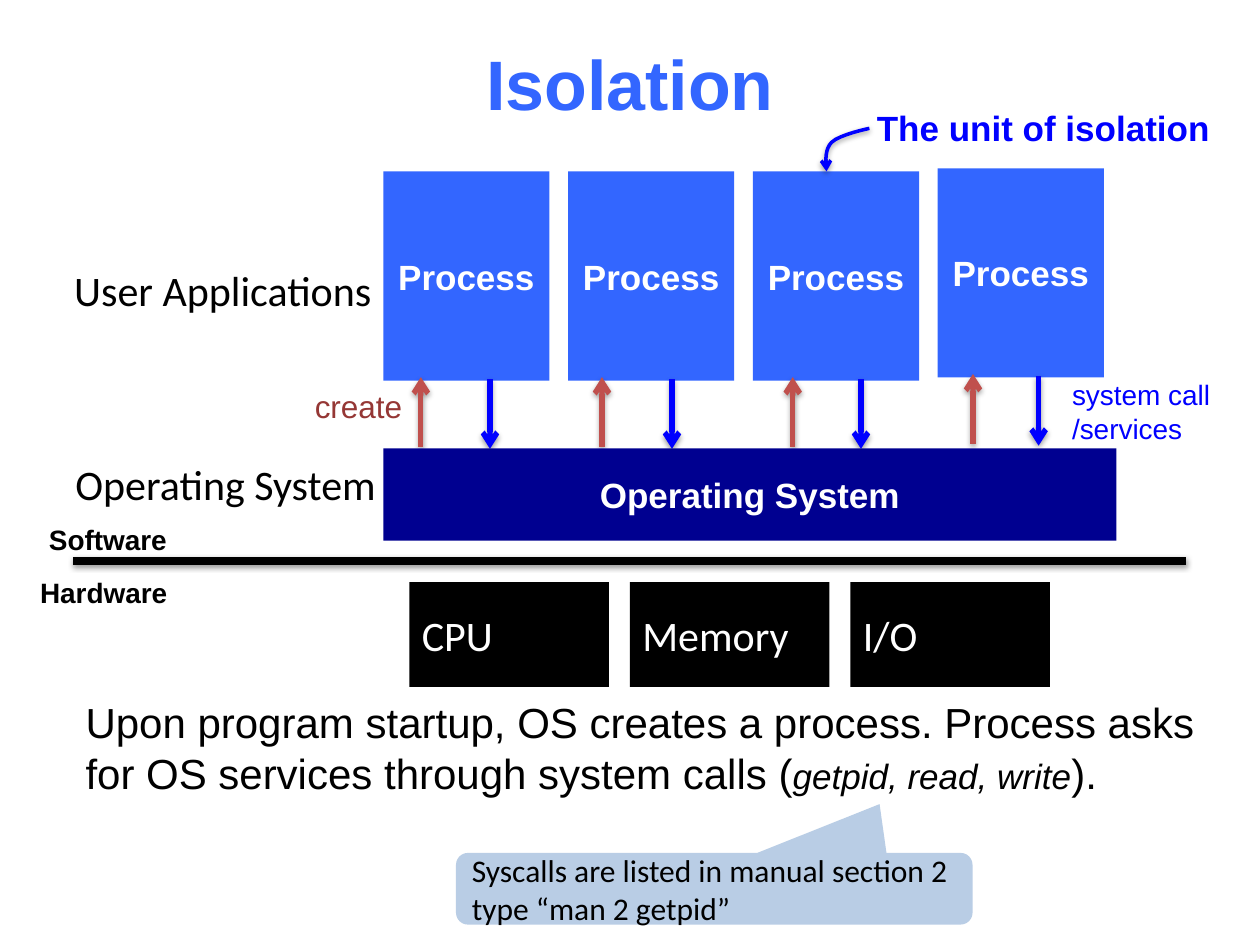
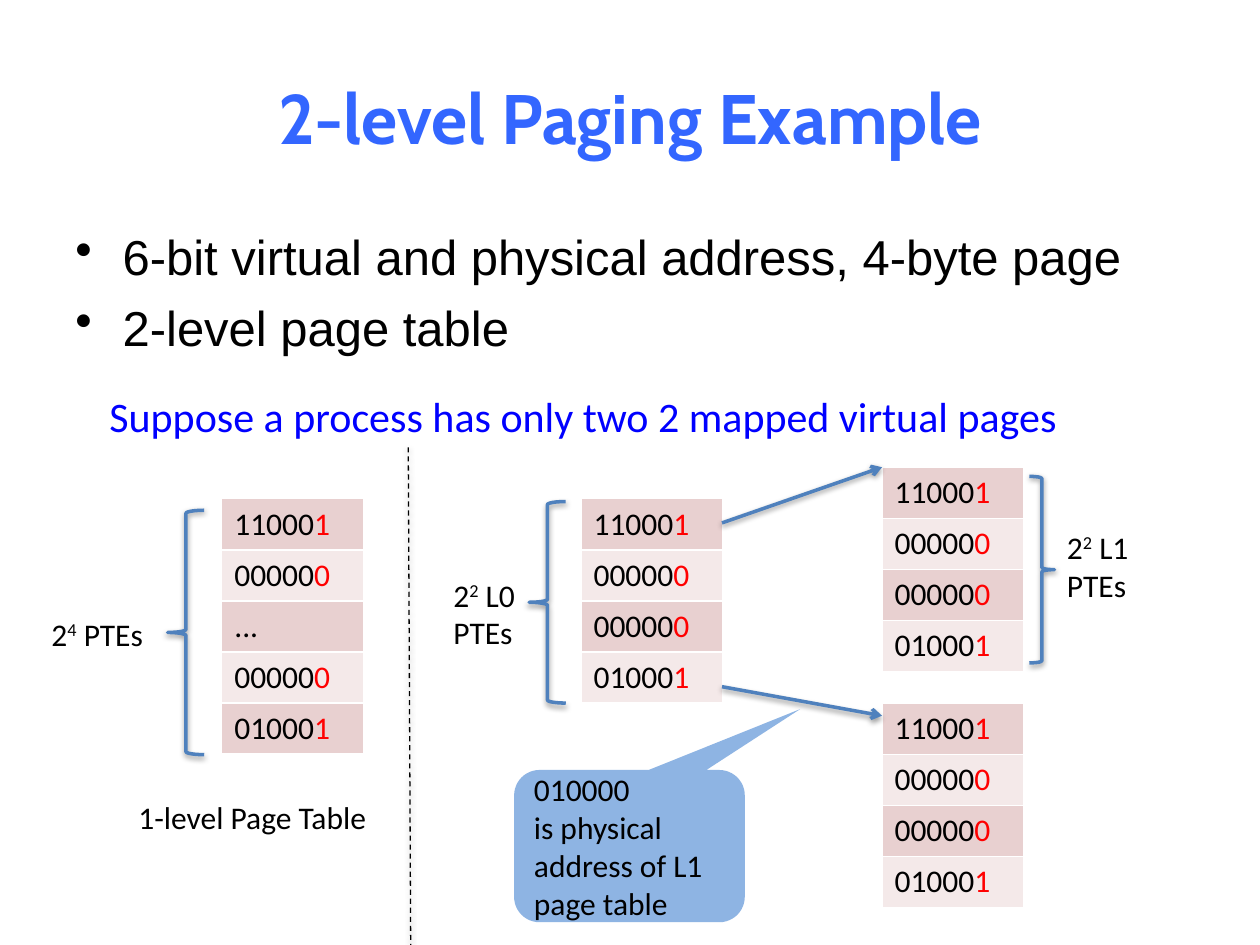
"""Build two lecture slides: process isolation and two-level paging."""
from lxml import etree
from pptx import Presentation
from pptx.dml.color import RGBColor
from pptx.enum import dml, shapes, text
from pptx.oxml import parse_xml
from pptx.oxml.ns import nsdecls, qn
from pptx.util import Pt

rgb = RGBColor.from_string
SHAPE = shapes.MSO_SHAPE
STRAIGHT = shapes.MSO_CONNECTOR.STRAIGHT
LEFT, CENTER = text.PP_ALIGN.LEFT, text.PP_ALIGN.CENTER
TOP, MIDDLE = text.MSO_ANCHOR.TOP, text.MSO_ANCHOR.MIDDLE
BLACK, WHITE, RED = "000000", "FFFFFF", "FF0000"
ROYAL, BLUE, NAVY, STEEL = "3366FF", "0000FF", "000090", "4F81BD"
BRICK, MAROON = "C0504D", "953735"
SHADOW = (
    f'<a:effectLst {nsdecls("a")}><a:outerShdw blurRad="40000" dist="20000" '
    'dir="5400000" rotWithShape="0"><a:srgbClr val="000000">'
    '<a:alpha val="38000"/></a:srgbClr></a:outerShdw></a:effectLst>'
)


def write(sp, lines, size=18, font="Calibri", color=BLACK, bold=False, align=LEFT,
          anchor=TOP, wrap=True, fill=None, bullet=None, gap=0):
    """Fill a shape or cell with lines, each a string or a list of (text, changes) runs."""
    if fill:
        sp.fill.solid()
        sp.fill.fore_color.rgb = rgb(fill)
        sp.line.fill.background()
        sp.shadow.inherit = False
    tf = sp.text_frame
    tf.word_wrap = wrap
    tf.vertical_anchor = anchor
    for i, line in enumerate(lines):
        p = tf.add_paragraph() if i else tf.paragraphs[0]
        p.alignment = align
        if bullet:
            pPr = p._p.get_or_add_pPr()
            pPr.set("marL", str(Pt(27)))
            pPr.set("indent", str(-Pt(27)))
            etree.SubElement(pPr, qn("a:buChar")).set("char", bullet)
        if i and gap:
            p.space_before = Pt(gap)
        for words, change in [(line, {})] if isinstance(line, str) else line:
            r = p.add_run()
            r.text = words
            r.font.name = font
            r.font.size = Pt(change.get("size", size))
            r.font.bold = bold
            r.font.italic = change.get("italic", False)
            r.font.color.rgb = rgb(change.get("color", color))
            if "raised" in change:
                r._r.get_or_add_rPr().set("baseline", "30000")


def stroke(sp, color, width, arrow=False, dash=None):
    """Give an outline its colour, width, end arrow, dash and soft shadow."""
    sp.line.color.rgb = rgb(color)
    sp.line.width = Pt(width)
    if dash:
        sp.line.dash_style = dash
    if arrow:
        etree.SubElement(sp.line._get_or_add_ln(), qn("a:tailEnd")).set("type", "arrow")
    sp._element.spPr.append(parse_xml(SHADOW))


prs = Presentation()
prs.slide_width, prs.slide_height = Pt(720), Pt(540)
slides = []
for title, font, top in [("Isolation", "Arial", 2), ("2-level Paging Example", "Cabin", 21.6)]:
    s = prs.slides.add_slide(prs.slide_layouts[5])
    sp = s.shapes.title
    sp.left, sp.top, sp.width, sp.height = Pt(36), Pt(top), Pt(648), Pt(90)
    write(sp, [title], 40, font, ROYAL, True, CENTER, MIDDLE)
    slides.append(s)
isolation, paging = slides

s = isolation
for i, (create_x, call_x) in enumerate([(240.5, 280), (344, 384), (453, 492), (556, 593.5)]):
    lift = 1.8 if i == 3 else 0
    box = 219 + 105.6 * i, 98 - lift, 95, 119.5
    sp = s.shapes.add_shape(SHAPE.RECTANGLE, *map(Pt, box))
    write(sp, ["Process"], 20, "Arial", WHITE, True, CENTER, MIDDLE, fill=ROYAL)
    for x, start, end, color in [(create_x, 255.5, 215.5, BRICK), (call_x, 216.7, 256.5, BLUE)]:
        sp = s.shapes.add_connector(STRAIGHT, Pt(x), Pt(start - lift), Pt(x), Pt(end - lift))
        stroke(sp, color, 3, arrow=True)

sp = s.shapes.add_shape(SHAPE.RECTANGLE, Pt(219), Pt(256.3), Pt(419), Pt(52.6))
write(sp, ["Operating System"], 20, "Arial", WHITE, True, CENTER, MIDDLE, fill=NAVY)
for i, part in enumerate(["CPU", "Memory", "I/O"]):
    sp = s.shapes.add_shape(SHAPE.RECTANGLE, Pt(234 + 126 * i), Pt(332.6), Pt(114), Pt(60))
    write(sp, [part], 24, color=WHITE, anchor=MIDDLE, fill=BLACK)
sp = s.shapes.add_connector(STRAIGHT, Pt(41.8), Pt(320.4), Pt(677.5), Pt(320.4))
stroke(sp, BLACK, 4.5)

summary = [
    ("Upon program startup, OS creates a process. Process asks for OS services "
     "through system calls (", {}),
    ("getpid, read, write", {"size": 20, "italic": True}),
    (").", {}),
]
label = {"size": 16, "font": "Arial", "wrap": False}
for box, lines, style in [
    ((35.3, 147.6, 198, 36), ["User Applications"], {"size": 24}),
    ((36, 258.5, 198, 36), ["Operating System"], {"size": 24}),
    ((20.9, 295.2, 82.8, 26.6), ["Software"], {**label, "bold": True}),
    ((15.8, 325.4, 87.8, 26.6), ["Hardware"], {**label, "bold": True}),
    ((605.5, 212.4, 94.3, 46), ["system call", "/services"], {**label, "color": BLUE}),
    ((172.8, 217.4, 67.7, 29), ["create"], {"font": "Arial", "color": MAROON}),
    ((494, 57.6, 233.3, 31.7), ["The unit of isolation"],
     {"size": 20, "font": "Arial", "color": BLUE, "bold": True}),
    ((41.8, 394.6, 650.2, 65.5), [summary], {"size": 24, "font": "Arial"}),
]:
    write(s.shapes.add_textbox(*map(Pt, box)), lines, **style)

bends = [
    [(496.8, 73.4), (496.8, 73.4), (479.5, 77), (475.2, 81.4)],
    [(475.2, 81.4), (471.6, 85), (471.6, 91.4), (472.3, 98)],
]
points = []
for bend in bends:
    for step in range(1, 9):
        t = step / 8
        weights = (1 - t) ** 3, 3 * t * (1 - t) ** 2, 3 * t * t * (1 - t), t ** 3
        points.append([Pt(sum(w * c for w, c in zip(weights, axis))) for axis in zip(*bend)])
pen = s.shapes.build_freeform(Pt(496.8), Pt(73.4), scale=1)
pen.add_line_segments(points, close=False)
sp = pen.convert_to_shape()
sp.fill.background()
stroke(sp, BLUE, 2, arrow=True)

s = paging
sp = s.shapes.add_textbox(Pt(36), Pt(126), Pt(648), Pt(87))
write(sp, ["6-bit virtual and physical address, 4-byte page", "2-level page table"],
      28, "Arial", bullet="•", gap=7)

entries = ["110001", "000000", "000000", "010001"]
for left, top, rows in [
    (126.7, 285, ["110001", "000000", "...", "000000", "010001"]),
    (332, 285, entries),
    (504, 267, entries),
    (504, 401.8, entries),
]:
    height = Pt(29.2 * len(rows))
    tbl = s.shapes.add_table(len(rows), 1, Pt(left), Pt(top), Pt(81.2), height).table
    tbl.first_row = False
    for i, entry in enumerate(rows):
        cell = tbl.cell(i, 0)
        cell.fill.solid()
        cell.fill.fore_color.rgb = rgb("F4E9E9" if i % 2 else "E8D0D0")
        runs = entry if entry == "..." else [(entry[:-1], {}), (entry[-1], {"color": RED})]
        write(cell, [runs])

for box, flipped in [
    ((95.8, 291.6, 20.9, 139.7), True),
    ((302.4, 286.6, 20.9, 115.2), True),
    ((588.2, 272.2, 14.4, 106.6), False),
]:
    sp = s.shapes.add_shape(SHAPE.RIGHT_BRACE, *map(Pt, box))
    sp.fill.background()
    stroke(sp, STEEL, 2)
    if flipped:
        sp._element.spPr.get_or_add_xfrm().set("flipH", "1")

for ends in [(412.6, 298.8, 504, 267), (412.6, 392.4, 504, 409)]:
    sp = s.shapes.add_connector(STRAIGHT, *map(Pt, ends))
    stroke(sp, STEEL, 2, arrow=True)
sp = s.shapes.add_connector(STRAIGHT, Pt(233.3), Pt(255.6), Pt(234.7), Pt(540))
stroke(sp, BLACK, 0.75, dash=dml.MSO_LINE.DASH)

raised = {"raised": True}
for box, lines, style in [
    ((55.4, 219.6, 562.3, 36), ["Suppose a process has only two 2 mapped virtual pages"],
     {"size": 24, "color": BLUE}),
    ((22.3, 347.8, 68.4, 29), [[("2", {}), ("4", raised), (" PTEs", {})]], {}),
    ((72, 452.2, 148.3, 29), ["1-level Page Table"], {}),
    ((252, 325.4, 51, 51), [[("2", {}), ("2", raised), (" L0", {})], "PTEs"], {}),
    ((602.6, 298, 51, 51), [[("2", {}), ("2", raised), (" L1", {})], "PTEs"], {}),
]:
    write(s.shapes.add_textbox(*map(Pt, box)), lines, wrap=False, **style)

for s, box, tip, fill, lines in [
    (isolation, (260.6, 487.4, 295.2, 41), (0.32, -1.18), "B9CDE5",
     ["Syscalls are listed in manual section 2", "type “man 2 getpid”"]),
    (paging, (293.8, 440, 131.8, 87), (0.74, -0.9), "8EB4E3",
     ["010000", "is physical", "address of L1", "page table"]),
]:
    sp = s.shapes.add_shape(SHAPE.ROUNDED_RECTANGULAR_CALLOUT, *map(Pt, box))
    sp.adjustments[0], sp.adjustments[1] = tip
    write(sp, lines, anchor=MIDDLE, fill=fill)

prs.save("out.pptx")
